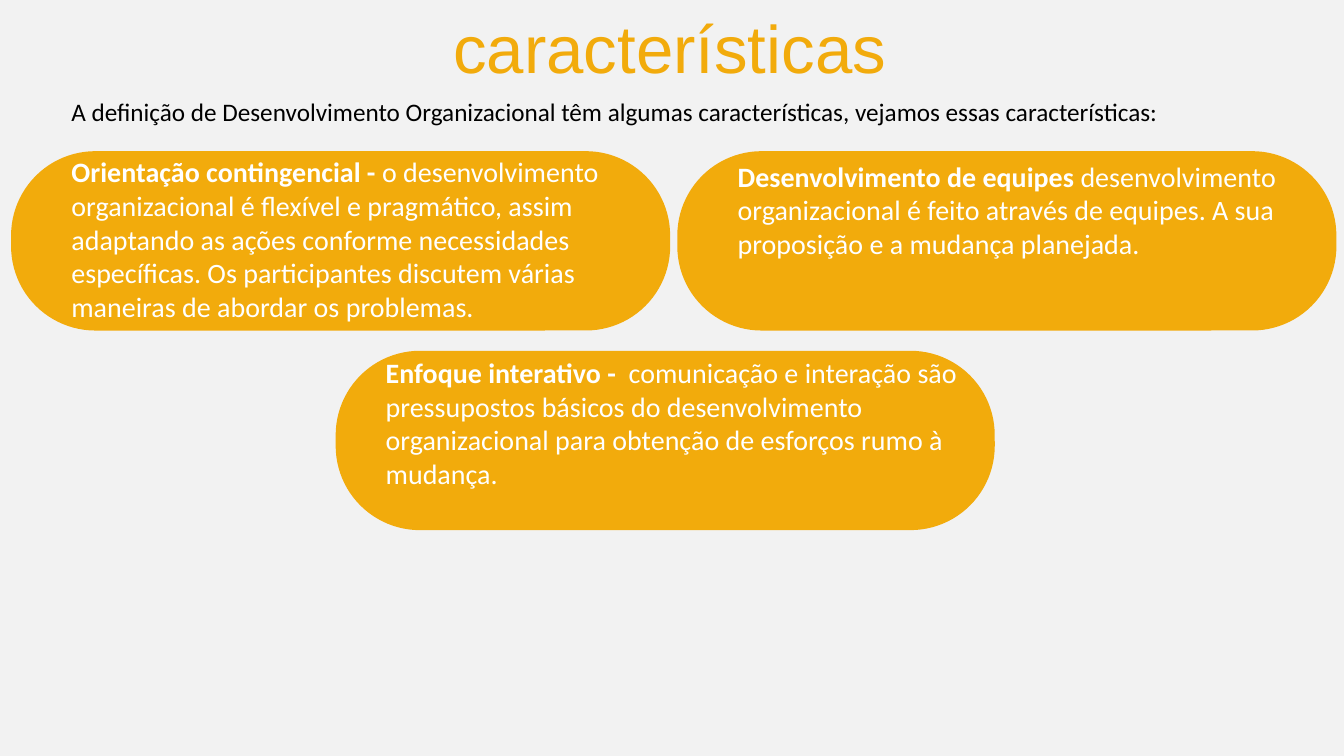
from pptx import Presentation
from pptx.dml.color import RGBColor
from pptx.enum.shapes import MSO_SHAPE as Preset
from pptx.enum.text import PP_ALIGN as Align
from pptx.util import Cm, Pt

COLORS = {"background": "F2F2F2", "accent": "F2AB0C", "light": "FFFFFF", "dark": "000000"}
SLIDE_WIDTH, SLIDE_HEIGHT = 33.87, 19.05
CARD_WIDTH, CARD_HEIGHT = 16.61, 4.52


class SlideBuilder:
    def __init__(self, slide, font="Calibri"):
        self.slide = slide
        self.font = font

    def color(self, name):
        return RGBColor.from_string(COLORS[name])

    def box(self, preset, left, top, width, height, fill):
        shape = self.slide.shapes.add_shape(preset, Cm(left), Cm(top), Cm(width), Cm(height))
        shape.shadow.inherit = False
        shape.fill.solid()
        shape.fill.fore_color.rgb = self.color(fill)
        shape.line.fill.background()
        return shape

    def text(self, left, top, width, height, runs, size, color, font=None, align=Align.LEFT):
        shape = self.slide.shapes.add_textbox(Cm(left), Cm(top), Cm(width), Cm(height))
        shape.text_frame.word_wrap = True
        paragraph = shape.text_frame.paragraphs[0]
        paragraph.alignment = align
        for words, bold in runs:
            run = paragraph.add_run()
            run.text = words
            run.font.name = font or self.font
            run.font.size = Pt(size)
            run.font.bold = bold
            run.font.color.rgb = self.color(color)

    def card(self, left, top, text_left, text_top, text_width, heading, body):
        shape = self.box(Preset.ROUNDED_RECTANGLE, left, top, CARD_WIDTH, CARD_HEIGHT, "accent")
        shape.adjustments[0] = 0.47
        self.text(text_left, text_top, text_width, CARD_HEIGHT,
                  [(heading, True), (body, False)], 20, "light")


def main():
    presentation = Presentation()
    presentation.slide_width, presentation.slide_height = Cm(SLIDE_WIDTH), Cm(SLIDE_HEIGHT)
    builder = SlideBuilder(presentation.slides.add_slide(presentation.slide_layouts[6]))

    # Background
    builder.box(Preset.RECTANGLE, 0, 0, SLIDE_WIDTH, SLIDE_HEIGHT, "background")

    # Title and introduction
    builder.text(-0.1, 0.03, 33.96, 2.31, [("características", False)], 48, "accent",
                 font="Arial", align=Align.CENTER)
    builder.text(1.55, 2.31, 32.13, 1.02,
                 [("A definição de Desenvolvimento Organizacional têm algumas características, "
                   "vejamos essas características:", False)], 18, "dark")

    # Characteristic cards
    cards = [
        (0.28, 3.81, 1.55, 3.78, 15.77, "Orientação contingencial - ",
         "o desenvolvimento organizacional é flexível e pragmático, assim adaptando as ações "
         "conforme necessidades específicas. Os participantes discutem várias maneiras de "
         "abordar os problemas."),
        (17.07, 3.81, 18.34, 3.89, 14.66, "Desenvolvimento de equipes ",
         "desenvolvimento organizacional é feito através de equipes. A sua proposição e a "
         "mudança planejada."),
        (8.46, 8.84, 9.47, 8.84, 15.21, "Enfoque interativo -  ",
         "comunicação e interação são pressupostos básicos do desenvolvimento organizacional "
         "para obtenção de esforços rumo à mudança."),
    ]
    for card in cards:
        builder.card(*card)

    presentation.save("out.pptx")


if __name__ == "__main__":
    main()
